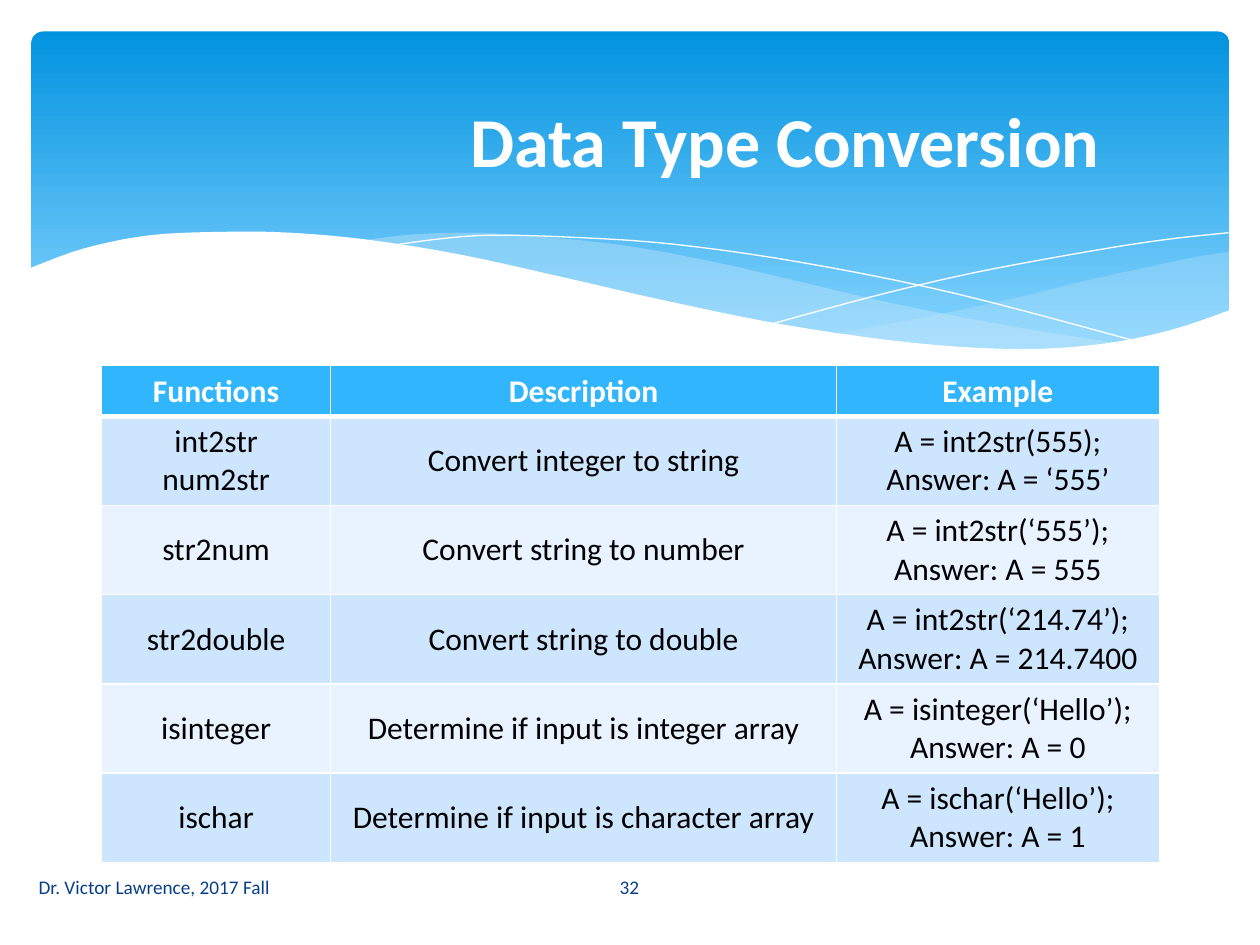
from lxml.etree import SubElement
from pptx import Presentation
from pptx.dml.color import RGBColor
from pptx.enum.shapes import MSO_SHAPE as Preset
from pptx.enum.text import MSO_ANCHOR as Anchor, PP_ALIGN as Align
from pptx.oxml.ns import qn
from pptx.util import Pt

COLORS = {
    "white": "FFFFFF", "black": "000000", "navy": "073E87",
    "sky_top": "0293E0", "sky_bottom": "83D3FE", "mist": "C6E7FC",
    "header": "31B6FD", "odd_row": "CEE5FE", "even_row": "E8F3FF",
}

RIGHT_WAVE = [
    [(702.5, 144), (682.5, 147), (652, 153.5), (620, 160.5), (579.5, 170.5),
     (525, 182), (476, 191)],
    [(476, 191), (507.5, 195), (545, 198.5), (586, 200), (628, 198),
     (668, 191.5), (702.5, 178)],
]
BACK_WAVE = [
    [(643, 196.5), (581, 187), (508.5, 173), (453, 160), (409.5, 150),
     (361.5, 141), (318, 136), (273.5, 133), (236, 134), (206, 137.5)],
    [(206, 137.5), (246, 143.5), (291, 152), (353.5, 167), (432.5, 183.5),
     (500.5, 194.5), (556, 199.5), (603.5, 200), (643, 196.5)],
]
FRONT_WAVE = [
    [(703.5, 177), (669.5, 188.5), (630, 196.5), (582.5, 199.5), (522.5, 196),
     (450.5, 186), (381, 172), (322, 158.5), (263, 145.5), (210, 137),
     (165.5, 133), (127.5, 132.5), (85.5, 134.5), (48, 142), (16.5, 153.5)],
    [(16.5, 237), (703.5, 237)],
]
FALLING_LINE = [(222.5, 140.5), (247.5, 137), (278.5, 134.5), (324, 135.5),
                (384, 139.5), (458, 150), (547, 168), (653, 196)]
RISING_LINE = [(441.5, 185), (500.5, 169), (558.5, 155.5), (623.5, 143.5),
               (665.5, 137), (702, 133)]

HEADINGS = ["Functions", "Description", "Example"]
CONVERSIONS = [
    ["int2str\nnum2str", "Convert integer to string",
     "A = int2str(555);\nAnswer: A = ‘555’"],
    ["str2num", "Convert string to number",
     "A = int2str(‘555’);\nAnswer: A = 555"],
    ["str2double", "Convert string to double",
     "A = int2str(‘214.74’);\nAnswer: A = 214.7400"],
    ["isinteger", "Determine if input is integer array",
     "A = isinteger(‘Hello’);\nAnswer: A = 0"],
    ["ischar", "Determine if input is character array",
     "A = ischar(‘Hello’);\nAnswer: A = 1"],
]


def smooth(knots, steps=5):
    padded = [knots[0], *knots, knots[-1]]
    curve = [knots[0]]
    for a, b, c, d in zip(padded, padded[1:], padded[2:], padded[3:]):
        for step in range(1, steps + 1):
            t = step / steps
            curve.append(tuple(
                (2 * q + (r - p) * t + (2 * p - 5 * q + 4 * r - s) * t ** 2
                 + (3 * q - p - 3 * r + s) * t ** 3) / 2
                for p, q, r, s in zip(a, b, c, d)))
    return curve


class SlideBuilder:
    font = "Calibri"

    def __init__(self, slide):
        self.slide = slide
        self.shapes = slide.shapes

    def color(self, name):
        return RGBColor.from_string(COLORS[name])

    def set_text(self, frame, text, size, color, align, bold=False):
        frame.text = text
        for paragraph in frame.paragraphs:
            paragraph.alignment = align
            for run in paragraph.runs:
                run.font.name = self.font
                run.font.size = Pt(size)
                run.font.bold = bold
                run.font.color.rgb = self.color(color)

    def banner(self, left, top, width, height):
        band = self.shapes.add_shape(Preset.ROUNDED_RECTANGLE, Pt(left), Pt(top),
                                     Pt(width), Pt(height))
        band.adjustments[0] = 0.034
        band.shadow.inherit = False
        band.line.fill.background()
        band.fill.gradient()
        band.fill.gradient_angle = 270
        stops = zip(band.fill.gradient_stops, (0, 0.9), ("sky_top", "sky_bottom"))
        for stop, position, color in stops:
            stop.position = position
            stop.color.rgb = self.color(color)

    def outline(self, points, closed):
        scaled = [(Pt(x), Pt(y)) for x, y in points]
        builder = self.shapes.build_freeform(*scaled[0])
        builder.add_line_segments(scaled[1:], close=closed)
        shape = builder.convert_to_shape()
        shape.shadow.inherit = False
        return shape

    def wave(self, edges, color, opacity=100):
        points = [point for edge in edges for point in smooth(edge)]
        wave = self.outline(points, True)
        wave.line.fill.background()
        wave.fill.solid()
        wave.fill.fore_color.rgb = self.color(color)
        if opacity < 100:
            tint = wave._element.spPr.find(qn("a:solidFill"))[0]
            SubElement(tint, qn("a:alpha"), val=str(opacity * 1000))

    def hairline(self, knots):
        hairline = self.outline(smooth(knots), False)
        hairline.fill.background()
        hairline.line.width = Pt(0)
        hairline.line.color.rgb = self.color("white")

    def title(self, text, left, top, width, height):
        title = self.shapes.title
        title.left, title.top = Pt(left), Pt(top)
        title.width, title.height = Pt(width), Pt(height)
        self.shapes._spTree.append(title._element)
        title.text_frame.vertical_anchor = Anchor.MIDDLE
        self.set_text(title.text_frame, text, 40, "white", Align.CENTER, True)

    def footer(self, text, align, *box):
        footer = self.shapes.add_textbox(*map(Pt, box))
        footer.text_frame.word_wrap = True
        footer.text_frame.vertical_anchor = Anchor.MIDDLE
        self.set_text(footer.text_frame, text, 11, "navy", align)

    def borders(self, cell, bottom):
        properties = cell._tc.get_or_add_tcPr()
        for side, width in (("L", 1), ("R", 1), ("T", 1), ("B", bottom)):
            border = SubElement(properties, qn(f"a:ln{side}"), w=str(Pt(width)))
            paint = SubElement(border, qn("a:solidFill"))
            SubElement(paint, qn("a:srgbClr"), val=COLORS["white"])

    def table(self, rows, left, top, widths, heights):
        table = self.shapes.add_table(len(rows), len(widths), Pt(left), Pt(top),
                                      Pt(sum(widths)), Pt(sum(heights))).table
        table.horz_banding = False
        for column, width in zip(table.columns, widths):
            column.width = Pt(width)
        for r, (entries, height) in enumerate(zip(rows, heights)):
            table.rows[r].height = Pt(height)
            is_header = r == 0
            shade = "header" if is_header else "odd_row" if r % 2 else "even_row"
            for c, entry in enumerate(entries):
                cell = table.cell(r, c)
                self.borders(cell, 3 if is_header else 1)
                cell.fill.solid()
                cell.fill.fore_color.rgb = self.color(shade)
                cell.vertical_anchor = Anchor.TOP if is_header else Anchor.MIDDLE
                self.set_text(cell.text_frame, entry, 18,
                              "white" if is_header else "black", Align.CENTER, is_header)


def main():
    deck = Presentation()
    deck.slide_width, deck.slide_height = Pt(720), Pt(540)
    builder = SlideBuilder(deck.slides.add_slide(deck.slide_layouts[5]))
    builder.banner(18, 18, 684.5, 194.5)
    builder.wave(RIGHT_WAVE, "mist", 29)
    builder.wave(BACK_WAVE, "mist", 40)
    builder.hairline(FALLING_LINE)
    builder.hairline(RISING_LINE)
    builder.wave(FRONT_WAVE, "white")
    builder.title("Data Type Conversion", 204.5, 30, 488, 99)
    builder.footer("32", Align.CENTER, 314, 492.5, 91.5, 29)
    builder.footer("Dr. Victor Lawrence, 2017 Fall", Align.LEFT, 15, 492.5, 298, 29)
    builder.table([HEADINGS, *CONVERSIONS], 58, 209, [131, 289, 184.5],
                  [28.5] + [51] * len(CONVERSIONS))
    deck.save("out.pptx")


if __name__ == "__main__":
    main()
